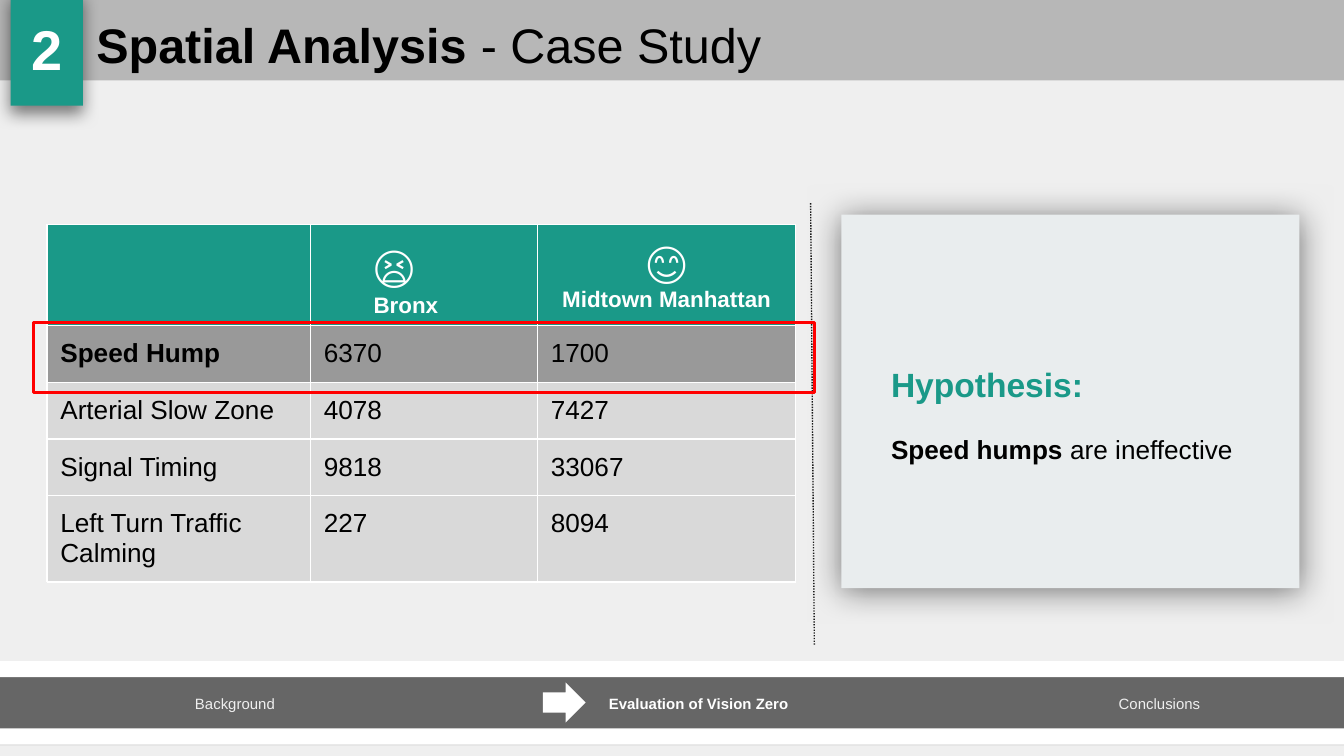
from lxml import etree
from pptx import Presentation
from pptx.dml.color import RGBColor
from pptx.enum import dml, shapes, text
from pptx.oxml import ns
from pptx.util import Cm, Pt

COLORS = {
    "background": "EFEFEF", "teal": "1A9988", "panel": "E9EDEE", "white": "FFFFFF",
    "black": "000000", "divider": "1A1A1A", "band": "B7B7B7", "footer": "666666",
    "speed_row": "999999", "row": "D9D9D9", "red": "FF0000",
}
RGB = {name: RGBColor.from_string(value) for name, value in COLORS.items()}
KIND = shapes.MSO_SHAPE
TOP, MIDDLE = text.MSO_ANCHOR.TOP, text.MSO_ANCHOR.MIDDLE
LEFT, CENTER = text.PP_ALIGN.LEFT, text.PP_ALIGN.CENTER


def write(frame, *paragraphs, size=14, color="black", bold=False, align=LEFT,
          anchor=TOP, indent=0, gap=0):
    """Fill a text frame; a paragraph is a list of (text, format overrides)."""
    frame.word_wrap = True
    frame.auto_size = text.MSO_AUTO_SIZE.NONE
    frame.vertical_anchor = anchor
    frame.margin_left = frame.margin_right = Cm(0.25)
    frame.margin_top = frame.margin_bottom = Cm(0.25)
    for index, runs in enumerate(paragraphs):
        paragraph = frame.add_paragraph() if index else frame.paragraphs[0]
        paragraph.alignment = align
        paragraph.space_before = Pt(gap if index else 0)
        if indent:
            paragraph._p.get_or_add_pPr().set("marL", str(Cm(indent)))
        for words, changes in runs:
            style = {"size": size, "color": color, "bold": bold, **changes}
            run = paragraph.add_run()
            run.text = words
            run.font.name = "Arial"
            run.font.size = Pt(style["size"])
            run.font.bold = style["bold"]
            run.font.color.rgb = RGB[style["color"]]


def block(kind, left, top, width, height, fill=None, line=None, shadow=None):
    """Add a preset shape in centimetres; shadow is (blur, distance) in points."""
    shape = slide.shapes.add_shape(kind, Cm(left), Cm(top), Cm(width), Cm(height))
    shape.shadow.inherit = False
    if fill:
        shape.fill.solid()
        shape.fill.fore_color.rgb = RGB[fill]
    else:
        shape.fill.background()
    if line:
        shape.line.color.rgb = RGB[line]
        shape.line.width = Pt(1.5)
    else:
        shape.line.fill.background()
    if shadow:
        blur, distance = shadow
        effects = shape.element.spPr.find(ns.qn("a:effectLst"))
        outer = etree.SubElement(effects, ns.qn("a:outerShdw"), blurRad=str(Pt(blur)),
                                 dist=str(Pt(distance)), dir="5400000",
                                 algn="t", rotWithShape="0")
        tint = etree.SubElement(outer, ns.qn("a:srgbClr"), val=COLORS["black"])
        etree.SubElement(tint, ns.qn("a:alpha"), val="50000")
    return shape


prs = Presentation()
prs.slide_width, prs.slide_height = Cm(25.4), Cm(14.29)
slide = prs.slides.add_slide(prs.slide_layouts[5])
slide.background.fill.solid()
slide.background.fill.fore_color.rgb = RGB["background"]

# Hypothesis panel and divider
block(KIND.RECTANGLE, 15.9, 4.06, 8.66, 7.06, "panel", shadow=(18, 1.5))
divider = slide.shapes.add_connector(shapes.MSO_CONNECTOR.STRAIGHT,
                                     Cm(15.32), Cm(3.84), Cm(15.39), Cm(12.19))
divider.line.color.rgb = RGB["divider"]
divider.line.width = Pt(0.75)
divider.line.dash_style = dml.MSO_LINE.ROUND_DOT
etree.SubElement(divider.element.spPr, ns.qn("a:effectLst"))
hypothesis = slide.shapes.add_textbox(Cm(15.32), Cm(6.88), Cm(8.66), Cm(1.9))
write(hypothesis.text_frame,
      [("Hypothesis:", {"size": 18, "color": "teal", "bold": True})],
      [("Speed humps", {"bold": True}), (" are ineffective", {})],
      anchor=MIDDLE, indent=1.27, gap=16)

# Table of measures
measures = [
    ("Speed Hump", "6370", "1700"),
    ("Arterial Slow Zone", "4078", "7427"),
    ("Signal Timing", "9818", "33067"),
    ("Left Turn Traffic Calming", "227", "8094"),
]
table = slide.shapes.add_table(5, 3, Cm(0.89), Cm(4.24), Cm(14.15), Cm(6.69)).table
for column, width in zip(table.columns, (4.98, 4.29, 4.88)):
    column.width = Cm(width)
for row, height in zip(table.rows, (1.85, 1.07, 1.07, 1.07, 1.63)):
    row.height = Cm(height)
row_fills = ("teal", "speed_row", "row", "row", "row")
for row, fill in zip(table.rows, row_fills):
    for cell in row.cells:
        properties = cell._tc.get_or_add_tcPr()
        for side in ("a:lnL", "a:lnR", "a:lnT", "a:lnB"):
            border = etree.SubElement(properties, ns.qn(side), w=str(Pt(0.75)))
            solid = etree.SubElement(border, ns.qn("a:solidFill"))
            etree.SubElement(solid, ns.qn("a:srgbClr"), val=COLORS["white"])
        cell.fill.solid()
        cell.fill.fore_color.rgb = RGB[fill]
for r, measure in enumerate(measures, 1):
    for c, value in enumerate(measure):
        cell = table.cell(r, c)
        write(cell.text_frame, [(value, {})], bold=(r == 1 and c == 0))
        cell.margin_left = cell.margin_right = Cm(0.25)
        cell.margin_top = cell.margin_bottom = Cm(0.25)
manhattan = table.cell(0, 2)
write(manhattan.text_frame, [("😊", {"size": 24})], [("Midtown Manhattan", {})],
      size=12, color="white", bold=True, align=CENTER)
manhattan.margin_top = manhattan.margin_bottom = Cm(0.25)

# Title band
band = block(KIND.RECTANGLE, -0.46, -0.18, 26.06, 1.7, "band")
title = slide.shapes.title
title.left, title.top, title.width, title.height = Cm(1.57), Cm(0.03), Cm(21.36), Cm(1.5)
write(title.text_frame, [("Spatial Analysis", {"bold": True}), (" - Case Study", {})], size=26)
band.element.addnext(title.element)
badge = block(KIND.RECTANGLE, 0.2, -0.18, 1.37, 2.18, "teal", shadow=(9, 4.5))
write(badge.text_frame, [("2", {})], size=30, color="white", bold=True,
      align=CENTER, anchor=MIDDLE)

# Footer with the steps of the talk
block(KIND.RECTANGLE, -0.46, 12.8, 26.21, 1.09, "footer", shadow=(4.5, 1.5))
for left, top in ((-0.61, 12.5), (-0.41, 13.77)):
    block(KIND.RECTANGLE, left, top, 26.21, 0.3, "white")
steps = [
    ("Background", 1.85, KIND.PENTAGON, False),
    ("Evaluation of Vision Zero", 10.54, KIND.CHEVRON, True),
    ("Conclusions", 19.25, KIND.CHEVRON, False),
]
for label, left, kind, current in steps:
    step = block(kind, left, 13, 5.33, 0.58)
    write(step.text_frame, [(label, {})], size=8, bold=current, align=CENTER,
          anchor=MIDDLE, color="white" if current else "background")
block(KIND.RIGHT_ARROW, 10.26, 12.9, 0.81, 0.76, "white")

# Highlight and the Bronx heading
block(KIND.RECTANGLE, 0.64, 6.1, 14.76, 1.32, line="red")
bronx = slide.shapes.add_textbox(Cm(5.54), Cm(4.24), Cm(4.01), Cm(2.18))
write(bronx.text_frame, [("😫", {"size": 24})], [("Bronx", {})],
      size=12, color="white", bold=True, indent=1.27)

prs.save("out.pptx")
